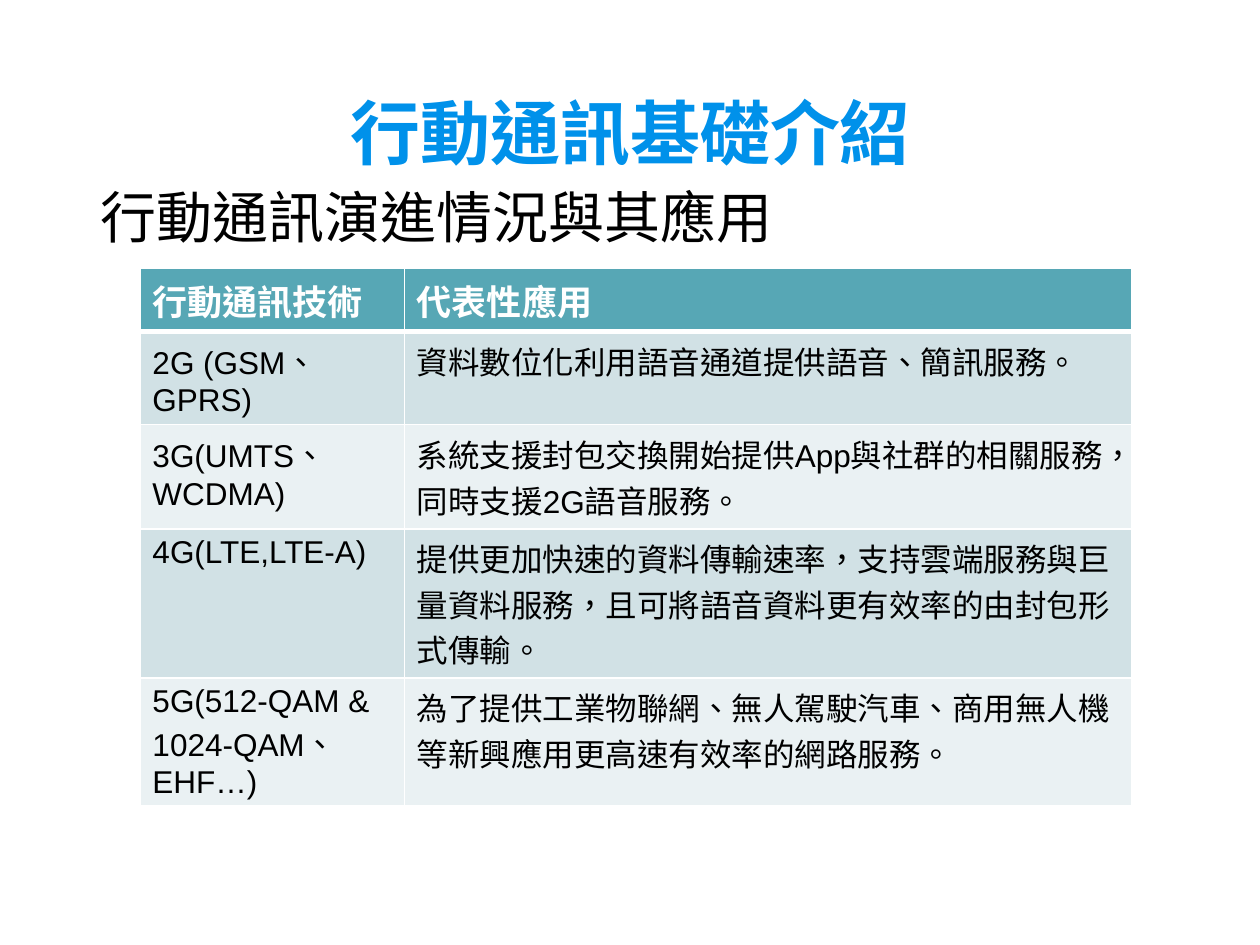
"""Build a slide on the generations of mobile communication and their uses."""
from lxml import etree
from pptx import Presentation
from pptx.dml import color
from pptx.enum import text
from pptx.oxml import ns
from pptx.util import Cm, Pt

COLORS = {
    "title": "0091EA",
    "black": "000000",
    "white": "FFFFFF",
    "header": "57A7B5",
    "odd": "D1E1E5",
    "even": "EAF1F3",
}
CJK = "Noto Sans CJK SC"


def write(frame, wording, size, ink, latin="Arial", bold=False):
    frame.text = wording
    paragraph = frame.paragraphs[0]
    font = paragraph.font
    font.size, font.bold, font.name = Pt(size), bold, latin
    font.color.rgb = color.RGBColor.from_string(COLORS[ink])
    defaults = paragraph._p.pPr.find(ns.qn("a:defRPr"))
    defaults.set("lang", "zh-TW")
    etree.SubElement(defaults, ns.qn("a:ea")).set("typeface", CJK)
    return paragraph


def outline(cell, edges):
    properties = cell._tc.get_or_add_tcPr()
    for position, (edge, points) in enumerate(edges.items()):
        line = etree.Element(ns.qn(f"a:{edge}"), w=str(Pt(points)))
        fill = etree.SubElement(line, ns.qn("a:solidFill"))
        etree.SubElement(fill, ns.qn("a:srgbClr")).set("val", COLORS["white"])
        properties.insert(position, line)


prs = Presentation()
prs.slide_width, prs.slide_height = Cm(25.4), Cm(19.05)
slide = prs.slides.add_slide(prs.slide_layouts[6])

headings = [
    ("行動通訊基礎介紹", 2.19, 1.15, 40, "title", True, text.PP_ALIGN.CENTER),
    ("行動通訊演進情況與其應用", 1.78, 2.69, 32, "black", False, text.PP_ALIGN.LEFT),
]
for wording, left, top, size, ink, bold, align in headings:
    heading = slide.shapes.add_textbox(Cm(left), Cm(top), Cm(21.03), Cm(2.59)).text_frame
    heading.word_wrap = True
    heading.vertical_anchor = text.MSO_ANCHOR.BOTTOM
    heading.margin_left = heading.margin_right = Cm(0.25)
    heading.margin_top = heading.margin_bottom = Cm(0.25)
    write(heading, wording, size, ink, CJK, bold).alignment = align

generations = [
    (1.27, "行動通訊技術", "代表性應用"),
    (1.88, "2G (GSM、GPRS)", "資料數位化利用語音通道提供語音、簡訊服務。"),
    (2.1, "3G(UMTS、WCDMA)",
     "系統支援封包交換開始提供App與社群的相關服務，同時支援2G語音服務。"),
    (3.01, "4G(LTE,LTE-A)",
     "提供更加快速的資料傳輸速率，支持雲端服務與巨量資料服務，"
     "且可將語音資料更有效率的由封包形式傳輸。"),
    (2.58, "5G(512-QAM & 1024-QAM、EHF…)",
     "為了提供工業物聯網、無人駕駛汽車、商用無人機等新興應用更高速有效率的網路服務。"),
]
evolution = slide.shapes.add_table(
    len(generations), 2, Cm(2.82), Cm(5.41), Cm(19.99), Cm(10.84)).table
for column, width in zip(evolution.columns, (5.33, 14.66)):
    column.width = Cm(width)

for i, (height, *generation) in enumerate(generations):
    header = i == 0
    evolution.rows[i].height = Cm(height)
    band = "header" if header else "odd" if i % 2 else "even"
    edges = {"lnL": 1, "lnR": 1, "lnT": 3 if i == 1 else 1, "lnB": 3 if header else 1}
    for cell, wording in zip(evolution.rows[i].cells, generation):
        cell.fill.solid()
        cell.fill.fore_color.rgb = color.RGBColor.from_string(COLORS[band])
        outline(cell, edges)
        write(cell.text_frame, wording, 20 if header else 18,
              "white" if header else "black", bold=header)

prs.save("out.pptx")
